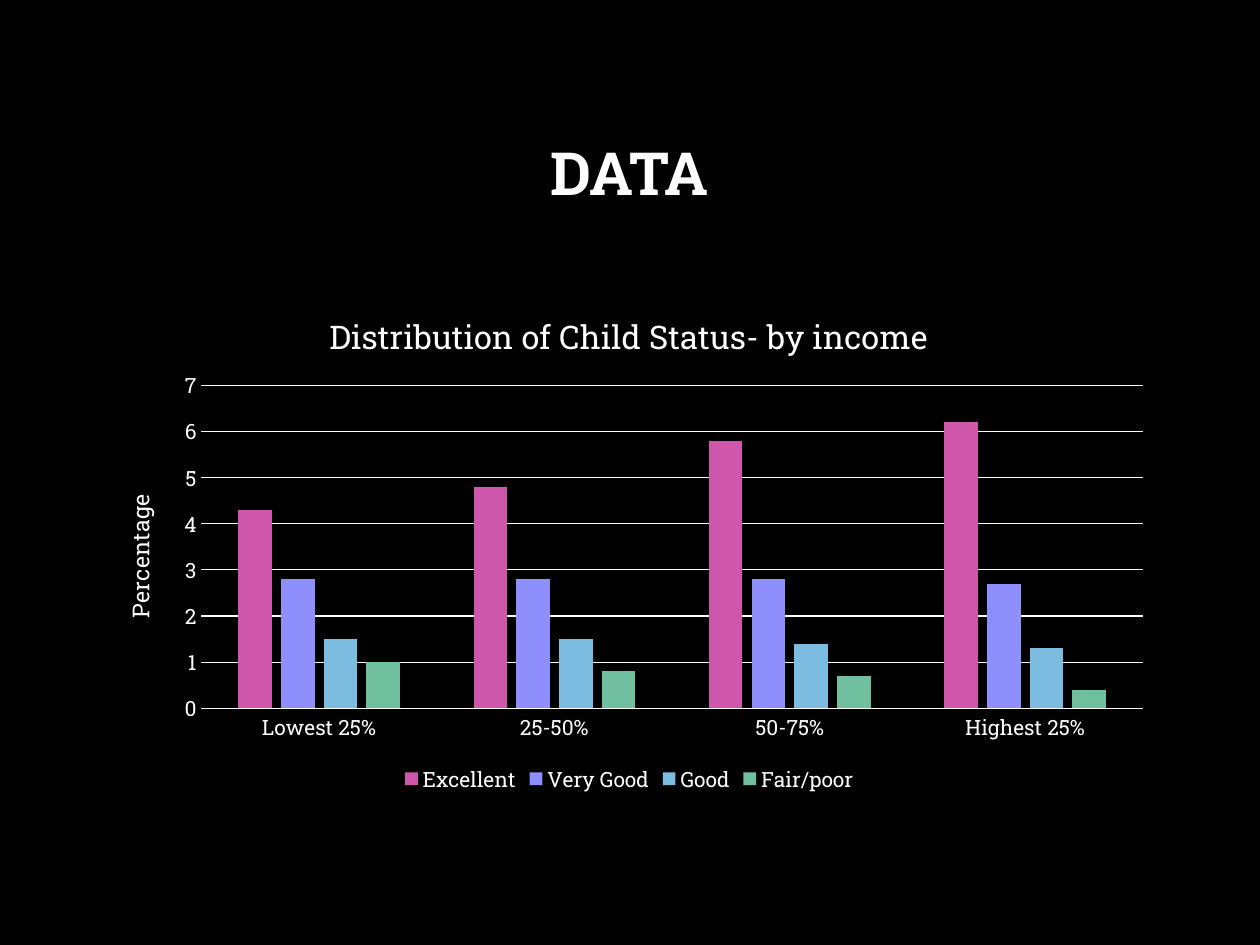
from dataclasses import dataclass

from lxml import etree
from pptx import Presentation
from pptx import util as u
from pptx.chart.data import CategoryChartData
from pptx.dml.color import RGBColor
from pptx.enum import chart as charts, text


@dataclass(frozen=True)
class Theme:
    font: str = "Roboto Slab"
    background: RGBColor = RGBColor(0, 0, 0)
    ink: RGBColor = RGBColor(255, 255, 255)
    heading: float = 34
    chart_title: float = 18.6
    axis_title: float = 13.3
    label: float = 12


theme = Theme()


def style_font(font, size, bold=False):
    values = {"name": theme.font, "size": u.Pt(size), "bold": bold}
    for name, value in values.items():
        setattr(font, name, value)
    font.color.rgb = theme.ink


def add_title(owner, words, size):
    frame = owner.text_frame
    frame.text = words
    style_font(frame.paragraphs[0].runs[0].font, size)


presentation = Presentation()
presentation.slide_width = u.Inches(10)
presentation.slide_height = u.Inches(7.5)
slide = presentation.slides.add_slide(presentation.slide_layouts[6])
slide.background.fill.solid()
slide.background.fill.fore_color.rgb = theme.background

# Heading
left, width = u.Inches(0.75), u.Inches(8.49)
heading = slide.shapes.add_textbox(left, u.Inches(0.67), width, u.Inches(1.45))
frame = heading.text_frame
frame.word_wrap = True
frame.vertical_anchor = text.MSO_ANCHOR.MIDDLE
paragraph = frame.paragraphs[0]
paragraph.text = "DATA"
paragraph.alignment = text.PP_ALIGN.CENTER
paragraph.line_spacing = 0.9
style_font(paragraph.runs[0].font, theme.heading, bold=True)

# Chart data
ratings = {
    "Excellent": ("CE57AB", (4.3, 4.8, 5.8, 6.2)),
    "Very Good": ("8E8EFD", (2.8, 2.8, 2.8, 2.7)),
    "Good": ("7CBCE0", (1.5, 1.5, 1.4, 1.3)),
    "Fair/poor": ("70BF9F", (1, 0.8, 0.7, 0.4)),
}
data = CategoryChartData()
data.categories = ["Lowest 25%", "25-50%", "50-75%", "Highest 25%"]
for rating, (color, values) in ratings.items():
    data.add_series(rating, values)

# Chart
chart = slide.shapes.add_chart(
    charts.XL_CHART_TYPE.COLUMN_CLUSTERED, left, u.Inches(2.29), width, u.Inches(4.04), data
).chart
style_font(chart.font, theme.label)
chart.has_title = True
add_title(chart.chart_title, "Distribution of Child Status- by income", theme.chart_title)
chart.chart_title.include_in_layout = False

# Columns
plot = chart.plots[0]
for name, value in {"gap_width": 219, "overlap": -27, "vary_by_categories": False}.items():
    setattr(plot, name, value)
for series in plot.series:
    series.format.fill.solid()
    series.format.fill.fore_color.rgb = RGBColor.from_string(ratings[series.name][0])

# Axes
category_axis, value_axis = chart.category_axis, chart.value_axis
for axis in (category_axis, value_axis):
    axis.major_tick_mark = axis.minor_tick_mark = charts.XL_TICK_MARK.NONE
    style_font(axis.tick_labels.font, theme.label)
value_axis.has_major_gridlines = True
for line in (category_axis.format.line, value_axis.major_gridlines.format.line):
    line.color.rgb = theme.ink
    line.width = u.Pt(0.75)
value_axis.format.line.fill.background()
for name, value in {"minimum_scale": 0, "maximum_scale": 7, "major_unit": 1}.items():
    setattr(value_axis, name, value)
add_title(value_axis.axis_title, "Percentage", theme.axis_title)

# Legend
chart.has_legend = True
chart.legend.position = charts.XL_LEGEND_POSITION.BOTTOM
chart.legend.include_in_layout = False
style_font(chart.legend.font, theme.label)

# Plot area, as shares of the chart
plot_area = plot._element.getparent()
namespace = etree.QName(plot_area).namespace
for old_layout in plot_area.findall(f"{{{namespace}}}layout"):
    plot_area.remove(old_layout)
layout = etree.Element(f"{{{namespace}}}layout")
manual = etree.SubElement(layout, f"{{{namespace}}}manualLayout")
settings = {"layoutTarget": "inner", "xMode": "edge", "yMode": "edge",
            "x": 0.1, "y": 0.19, "w": 0.88, "h": 0.635}
for name, value in settings.items():
    etree.SubElement(manual, f"{{{namespace}}}{name}", val=str(value))
plot_area.insert(0, layout)

presentation.save("out.pptx")
